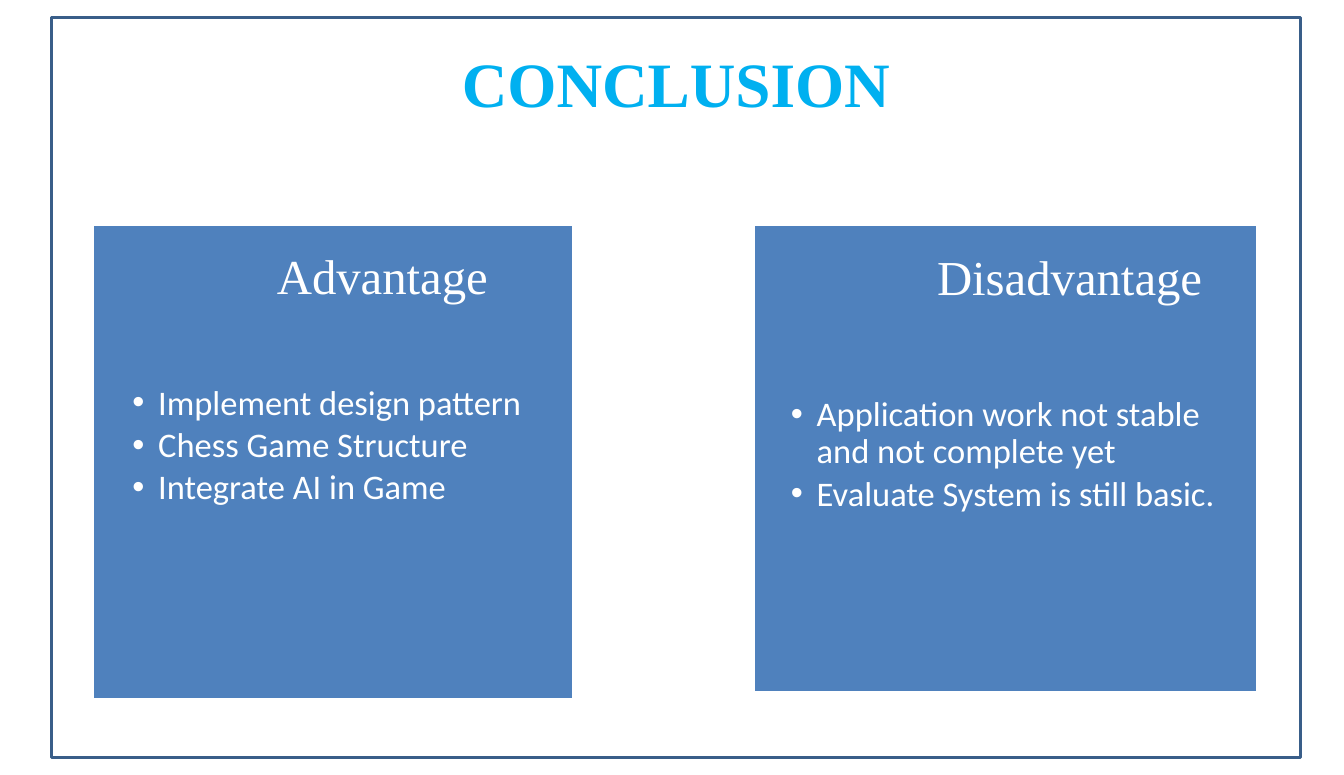
from lxml import etree
from pptx import Presentation
from pptx.dml.color import RGBColor
from pptx.enum.shapes import MSO_SHAPE
from pptx.enum.text import MSO_ANCHOR, MSO_AUTO_SIZE, PP_ALIGN
from pptx.oxml.ns import qn
from pptx.util import Inches, Pt

RECTANGLE = MSO_SHAPE.RECTANGLE
TOP, MIDDLE = MSO_ANCHOR.TOP, MSO_ANCHOR.MIDDLE
LEFT, CENTER, RIGHT = PP_ALIGN.LEFT, PP_ALIGN.CENTER, PP_ALIGN.RIGHT
NO_AUTOFIT = MSO_AUTO_SIZE.NONE

COLORS = {"title": "00B0F0", "frame": "395E89", "card": "4F81BD", "white": "FFFFFF"}
SERIF, SANS = "Times New Roman", "Calibri"

# The slide is a grid of 130 columns by 75 rows
COLUMNS, ROWS = 130, 75
CELL = Inches(0.1)


def grid(cells):
    return round(cells * CELL)


def color(key):
    return RGBColor.from_string(COLORS[key])


def place(part, box):
    part.left, part.top, part.width, part.height = map(grid, box)


def inside(box, offset):
    """Shift a part's box from its parent's corner to the slide."""
    return (box[0] + offset[0], box[1] + offset[1], *offset[2:])


def add_bullet(paragraph):
    properties = paragraph._p.get_or_add_pPr()
    properties.set("marL", str(Inches(0.25)))
    properties.set("indent", str(-Inches(0.25)))
    bullet_color = etree.SubElement(properties, qn("a:buClr"))
    etree.SubElement(bullet_color, qn("a:srgbClr"), val=COLORS["white"])
    etree.SubElement(properties, qn("a:buFont"), typeface="Arial")
    etree.SubElement(properties, qn("a:buChar"), char="•")


def write(part, lines, *, size, font, ink="white", bold=False, align=LEFT,
          anchor=TOP, insets=(1, 0.5, 1, 0.5), line_spacing=0.9, gap=0, bullets=False):
    """Fill a part with one paragraph per line; insets are in grid cells."""
    frame = part.text_frame
    frame.word_wrap = True
    frame.auto_size = NO_AUTOFIT
    frame.vertical_anchor = anchor
    (frame.margin_left, frame.margin_top,
     frame.margin_right, frame.margin_bottom) = map(grid, insets)
    for number, line in enumerate(lines):
        paragraph = frame.add_paragraph() if number else frame.paragraphs[0]
        if bullets:
            add_bullet(paragraph)
        paragraph.alignment = align
        paragraph.line_spacing = line_spacing
        paragraph.space_before = Pt(gap if number else 0)
        run = paragraph.add_run()
        run.text = line
        run.font.size, run.font.name, run.font.bold = Pt(size), font, bold
        run.font.color.rgb = color(ink)


def add_rectangle(slide, box, line, fill=None):
    """Add a rectangle behind the placeholders."""
    rectangle = slide.shapes.add_shape(RECTANGLE, *map(grid, box))
    rectangle.shadow.inherit = False
    if fill:
        rectangle.fill.solid()
        rectangle.fill.fore_color.rgb = color(fill)
    else:
        rectangle.fill.background()
    rectangle.line.color.rgb = color(line)
    rectangle.line.width = Pt(2)
    slide.shapes._spTree.insert(2, rectangle._element)


def add_header(slide, box):
    # Border around the slide, with the title across its top
    add_rectangle(slide, box, "frame")
    title = slide.shapes.title
    place(title, inside(box, (0, 0, box[2], 12.5)))
    write(title, ["CONCLUSION"], size=44, font=SERIF, ink="title", bold=True,
          align=CENTER, anchor=MIDDLE, line_spacing=1)


def add_card(slide, box, heading_id, heading, heading_box, points, points_box, points_top):
    add_rectangle(slide, box, "white", "card")

    # Heading
    heading_part = slide.placeholders[heading_id]
    place(heading_part, inside(box, heading_box))
    write(heading_part, [heading], size=34, font=SERIF, align=RIGHT, insets=(0, 0, 6.6, 0))

    # Bulleted points
    points_part = slide.placeholders[heading_id + 1]
    place(points_part, inside(box, points_box))
    write(points_part, points, size=24, font=SANS, insets=(1.9, points_top, 1.9, 1.9),
          gap=3.6, bullets=True)


def main():
    deck = Presentation()
    deck.slide_width, deck.slide_height = grid(COLUMNS), grid(ROWS)
    comparison = deck.slide_layouts[4]
    slide = deck.slides.add_slide(comparison)

    add_card(slide, (9, 21.7, 46.5, 46), 1,
             "Advantage", (4.9, 2.7, 39.9, 7.4),
             ["Implement design pattern", "Chess Game Structure", "Integrate AI in Game"],
             (1.9, 0.3, 46.5, 42.1), 15.3)
    add_card(slide, (72.9, 21.7, 48.7, 45.3), 3,
             "Disadvantage", (10.1, 2.8, 39.9, 7.4),
             ["Application work not stable and not complete yet",
              "Evaluate System is still basic."],
             (1.7, 1.9, 46.7, 43.2), 14.8)
    add_header(slide, (5, 1.7, 120.8, 71.6))
    deck.save("out.pptx")


if __name__ == "__main__":
    main()
